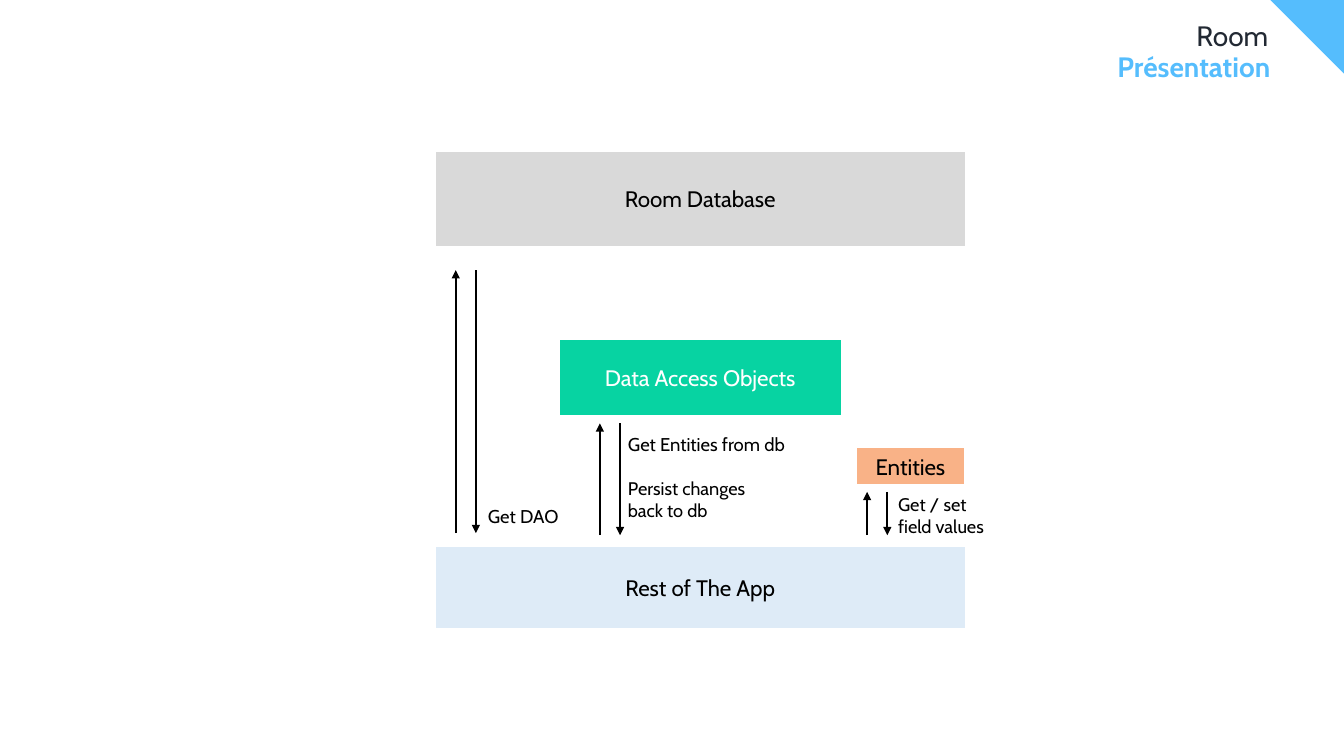
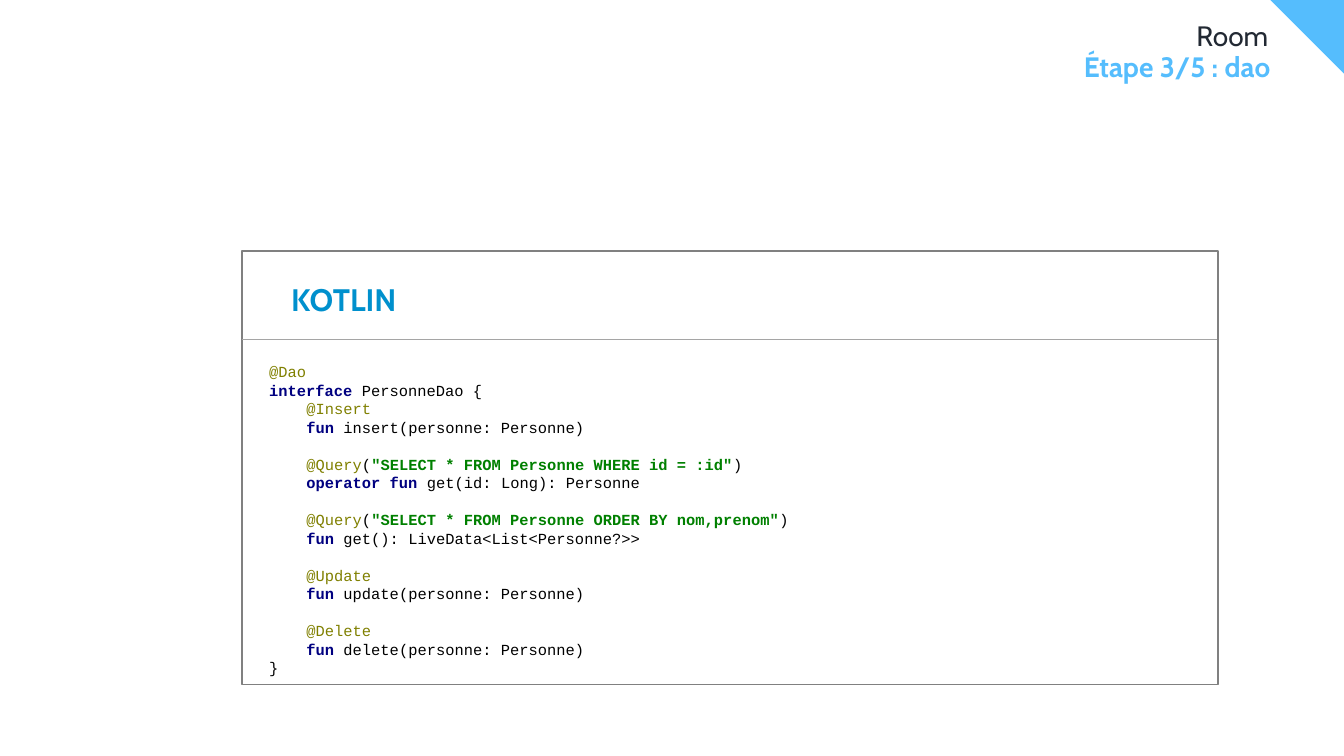
import dataclasses

import lxml.etree
import pptx
import pptx.dml.color
import pptx.enum.shapes
import pptx.enum.text
import pptx.oxml.ns
import pptx.util

SHAPE = pptx.enum.shapes.MSO_SHAPE
ALIGN = pptx.enum.text.PP_ALIGN
ANCHOR = pptx.enum.text.MSO_ANCHOR
PX = 9144


@dataclasses.dataclass(frozen=True)
class Theme:
    """Colours, fonts and type sizes of the deck."""
    sans: str = "Cabin"
    mono: str = "Courier New"
    accent: str = "55BDFD"
    heading: str = "222933"
    black: str = "000000"
    white: str = "FFFFFF"
    database: str = "D9D9D9"
    app: str = "DEEBF7"
    dao: str = "07D3A2"
    entity: str = "F9B287"
    frame: str = "808080"
    rule: str = "A5A5A5"
    language: str = "0090CD"
    annotation: str = "808000"
    keyword: str = "000080"
    string: str = "008000"
    title_size: float = 20
    box_size: float = 16
    note_size: float = 13.2
    small_note_size: float = 13
    language_size: float = 22.2
    code_size: float = 11
    code_pitch: float = 13.2


def rgb(colour):
    """Turn a hex string into a colour."""
    return pptx.dml.color.RGBColor.from_string(colour)


def lengths(*values):
    """Turn px into EMU."""
    return [pptx.util.Emu(value * PX) for value in values]


class Deck:
    """Holds the style and the current slide, and draws each kind of element."""

    def __init__(self, theme):
        """Open a presentation and prepare its shared layout."""
        self.theme = theme
        self.presentation = pptx.Presentation()
        self.presentation.slide_width, self.presentation.slide_height = lengths(1333, 750)
        self.layout = self.presentation.slide_layouts[1]
        self.slide = None
        places = [(37, 22, 1221, 31), (37, 53, 1223, 43)]
        for holder, place in zip(self.layout.placeholders, places):
            holder.left, holder.top, holder.width, holder.height = lengths(*place)

    def add_slide(self, title, subtitle):
        """Start a slide with its two-line heading."""
        first = self.slide is None
        self.slide = self.presentation.slides.add_slide(self.layout)
        if first:
            self.add_corner()
        headings = [(title, self.theme.heading, False), (subtitle, self.theme.accent, True)]
        for holder, (text, colour, bold) in zip(self.slide.placeholders, headings):
            frame = holder.text_frame
            frame.margin_left = frame.margin_right = frame.margin_top = frame.margin_bottom = 0
            frame.auto_size = pptx.enum.text.MSO_AUTO_SIZE.NONE
            frame.vertical_anchor = ANCHOR.TOP
            self.set_text(frame, text, self.theme.title_size, colour, bold, ALIGN.RIGHT)
            paragraph = frame.paragraphs[0]
            paragraph.line_spacing = 0.9
            paragraph.space_before = pptx.util.Pt(0)
            properties = paragraph._p.get_or_add_pPr()
            properties.set("marL", "0")
            properties.set("indent", "0")
            lxml.etree.SubElement(properties, pptx.oxml.ns.qn("a:buNone"))

    def add_corner(self):
        """Draw the corner triangle and move it to the shared layout."""
        builder = self.slide.shapes.build_freeform(1260, 0, scale=PX)
        builder.add_line_segments([(1333, 0), (1333, 73)], close=True)
        corner = builder.convert_to_shape()
        self.paint(corner, self.theme.accent)
        self.layout.shapes.element.append(corner.element)

    def paint(self, shape, fill, line=None):
        """Set fill and outline without shadow."""
        shape.shadow.inherit = False
        shape.fill.solid()
        shape.fill.fore_color.rgb = rgb(fill)
        if line:
            shape.line.color.rgb = rgb(line)
            shape.line.width = pptx.util.Pt(1)
        else:
            shape.line.fill.background()

    def style(self, run, size, colour, bold=False, font=None):
        """Format one run."""
        run.font.name = font or self.theme.sans
        run.font.size = pptx.util.Pt(size)
        run.font.color.rgb = rgb(colour)
        run.font.bold = bold

    def set_text(self, frame, text, size, colour, bold=False, align=ALIGN.LEFT):
        """Fill a text frame in one style."""
        frame.word_wrap = True
        frame.text = text
        for paragraph in frame.paragraphs:
            paragraph.alignment = align
            for run in paragraph.runs:
                self.style(run, size, colour, bold)

    def box(self, place, fill, text="", colour=None, line=None, kind=SHAPE.FLOWCHART_PROCESS):
        """Draw a filled box with centred text."""
        box = self.slide.shapes.add_shape(kind, *lengths(*place))
        self.paint(box, fill, line)
        frame = box.text_frame
        frame.vertical_anchor = ANCHOR.MIDDLE
        self.set_text(frame, text, self.theme.box_size, colour or self.theme.black,
                      align=ALIGN.CENTER)
        return box

    def label(self, place, text, size, colour=None, bold=False):
        """Put free text on the bottom of its place."""
        frame = self.slide.shapes.add_textbox(*lengths(*place)).text_frame
        frame.vertical_anchor = ANCHOR.BOTTOM
        self.set_text(frame, text, size, colour or self.theme.black, bold)

    def line(self, start, end, colour, width, arrow=False):
        """Draw a straight line, with an arrowhead at its end if asked."""
        line = self.slide.shapes.add_connector(
            pptx.enum.shapes.MSO_CONNECTOR.STRAIGHT, *lengths(*start, *end))
        line.line.color.rgb = rgb(colour)
        line.line.width = pptx.util.Pt(width)
        properties = line.element.spPr
        if arrow:
            outline = properties.get_or_add_ln()
            lxml.etree.SubElement(outline, pptx.oxml.ns.qn("a:tailEnd"), type="triangle")
        lxml.etree.SubElement(properties, pptx.oxml.ns.qn("a:effectLst"))

    def exchange(self, left, top, bottom):
        """Draw an upward arrow and, beside it, a downward one."""
        right = left + 20
        self.line((left, bottom), (left, top), self.theme.black, 1.5, arrow=True)
        self.line((right, top), (right, bottom), self.theme.black, 1.5, arrow=True)

    def code(self, place, blocks):
        """Set blocks of coloured code, one blank line's height apart."""
        frame = self.box(place, self.theme.white, kind=SHAPE.RECTANGLE).text_frame
        pitch = pptx.util.Pt(self.theme.code_pitch)
        paragraph = frame.paragraphs[0]
        for block_index, block in enumerate(blocks):
            for line_index, (level, tokens) in enumerate(block):
                if block_index or line_index:
                    paragraph = frame.add_paragraph()
                paragraph.alignment = ALIGN.LEFT
                paragraph.line_spacing = pitch
                if block_index and not line_index:
                    paragraph.space_before = pitch
                paragraph._p.get_or_add_pPr().set("marL", str(level * 37 * PX))
                for text, colour in tokens:
                    run = paragraph.add_run()
                    run.text = text
                    bold = colour in (self.theme.keyword, self.theme.string)
                    self.style(run, self.theme.code_size, colour, bold, self.theme.mono)


def build_overview(deck):
    """Build the architecture slide."""
    theme = deck.theme
    deck.add_slide("Room", "Présentation")
    deck.box((432, 543, 525, 80), theme.app, "Rest of The App")
    deck.box((432, 151, 525, 93), theme.database, "Room Database")
    deck.box((555, 337, 279, 75), theme.dao, "Data Access Objects", theme.white)
    deck.box((849, 444, 108, 37), theme.entity, "Entities", line=theme.white)
    for left, top, bottom in [(452, 268, 529), (595, 420, 531), (860, 488, 531)]:
        deck.exchange(left, top, bottom)
    deck.label((474, 498, 101, 30), "Get DAO", theme.note_size)
    deck.label((613, 427, 214, 30), "Get Entities from db", theme.note_size)
    deck.label((613, 468, 214, 54), "Persist changes\nback to db", theme.small_note_size)
    deck.label((881, 484, 124, 54), "Get / set\nfield values", theme.small_note_size)


def build_dao(deck):
    """Build the code slide."""
    theme = deck.theme
    deck.add_slide("Room", "Étape 3/5 : dao")
    deck.box((240, 249, 968, 430), theme.white, line=theme.frame, kind=SHAPE.RECTANGLE)
    deck.line((240, 337), (1207, 337), theme.rule, 0.5)
    deck.label((279, 251, 137, 69), "KOTLIN", theme.language_size, theme.language, True)

    def method(annotation, keyword, signature, query=None):
        """Return the two lines of one annotated method."""
        head = [(annotation, theme.annotation)]
        if query:
            head += [("(", theme.black), (query, theme.string), (")", theme.black)]
        return [(1, head), (1, [(keyword, theme.keyword), (signature, theme.black)])]

    opening = [
        (0, [("@Dao", theme.annotation)]),
        (0, [("interface ", theme.keyword), ("PersonneDao {", theme.black)]),
    ]
    closing = [(0, [("}", theme.black)])]
    deck.code((257, 353, 920, 325), [
        opening + method("@Insert", "fun ", "insert(personne: Personne)"),
        method("@Query", "operator fun ", "get(id: Long): Personne",
               '"SELECT * FROM Personne WHERE id = :id"'),
        method("@Query", "fun ", "get(): LiveData<List<Personne?>>",
               '"SELECT * FROM Personne ORDER BY nom,prenom"'),
        method("@Update", "fun ", "update(personne: Personne)"),
        method("@Delete", "fun ", "delete(personne: Personne)") + closing,
    ])


def main():
    """Build and save the deck."""
    deck = Deck(Theme())
    build_overview(deck)
    build_dao(deck)
    deck.presentation.save("out.pptx")


if __name__ == "__main__":
    main()
